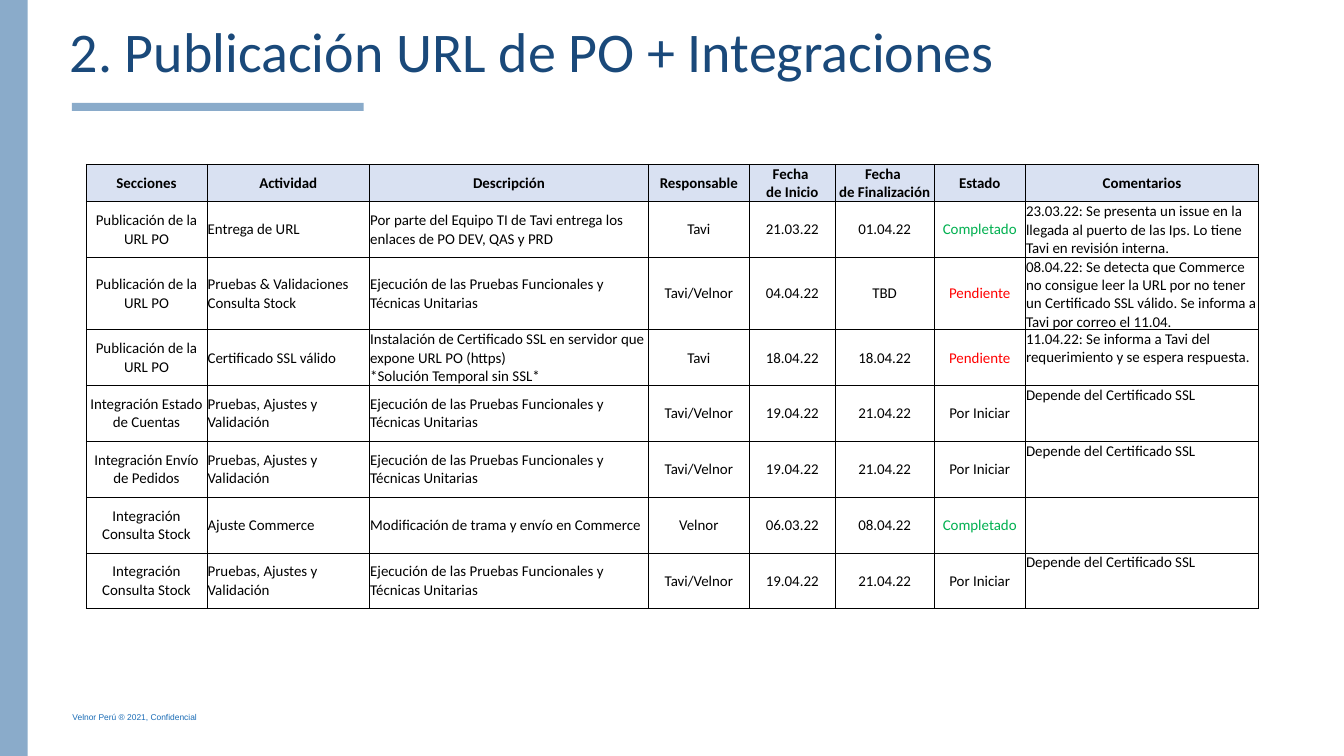
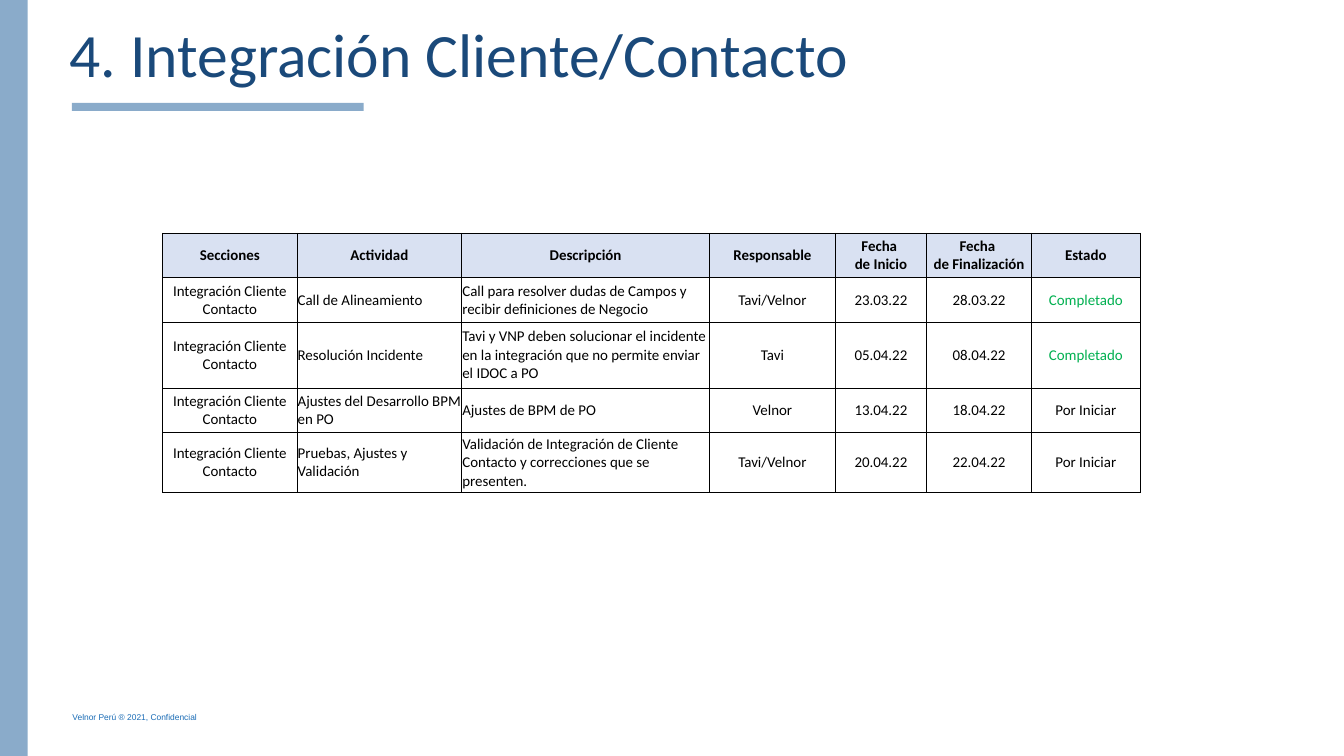
"""Build two project status slides, each with a schedule table."""
from dataclasses import dataclass

from lxml import etree
from pptx import Presentation
from pptx import util as u
from pptx.dml.color import RGBColor
from pptx.enum import shapes, text
from pptx.oxml.ns import qn


@dataclass(frozen=True)
class Theme:
    band: str = "8AABCA"
    title: str = "1A497A"
    footer: str = "1A6CB6"
    header_fill: str = "D9E1F2"
    ink: str = "000000"
    done: str = "00B050"
    pending: str = "FF0000"
    font: str = "Calibri"
    footer_font: str = "Arial"
    cell_size: int = 16
    footer_size: int = 9
    border_width: float = 0.5


theme = Theme()
status_colors = {"Completado": theme.done, "Pendiente": theme.pending}
bands = [(1.07, 1.53, 4.34, 0.12), (-0.1, -0.06, 0.51, 11.4)]
headers = ["Secciones", "Actividad", "Descripción", "Responsable",
           "Fecha \vde Inicio", "Fecha \vde Finalización", "Estado", "Comentarios"]
left_aligned = {"Actividad", "Descripción", "Comentarios"}

url_section = "Publicación de la URL PO"
stock_section = "Integración Consulta Stock"
contact_section = "Integración Cliente Contacto"
tests = "Pruebas, Ajustes y Validación"
unit_tests = "Ejecución de las Pruebas Funcionales y Técnicas Unitarias"
needs_certificate = "Depende del Certificado SSL"
both = "Tavi/Velnor"

publication_rows = [
    [url_section, "Entrega de URL",
     "Por parte del Equipo TI de Tavi entrega los enlaces de PO DEV, QAS y PRD",
     "Tavi", "21.03.22", "01.04.22", "Completado",
     "23.03.22: Se presenta un issue en la llegada al puerto de las Ips. "
     "Lo tiene Tavi en revisión interna."],
    [url_section, "Pruebas & Validaciones Consulta Stock", unit_tests,
     both, "04.04.22", "TBD", "Pendiente",
     "08.04.22: Se detecta que Commerce no consigue leer la URL por no tener "
     "un Certificado SSL válido. Se informa a Tavi por correo el 11.04."],
    [url_section, "Certificado SSL válido",
     "Instalación de Certificado SSL en servidor que expone URL PO (https)\n"
     "*Solución Temporal sin SSL*",
     "Tavi", "18.04.22", "18.04.22", "Pendiente",
     "11.04.22: Se informa a Tavi del requerimiento y se espera respuesta."],
    ["Integración Estado de Cuentas", tests, unit_tests,
     both, "19.04.22", "21.04.22", "Por Iniciar", needs_certificate],
    ["Integración Envío de Pedidos", tests, unit_tests,
     both, "19.04.22", "21.04.22", "Por Iniciar", needs_certificate],
    [stock_section, "Ajuste Commerce", "Modificación de trama y envío en Commerce",
     "Velnor", "06.03.22", "08.04.22", "Completado", ""],
    [stock_section, tests, unit_tests,
     both, "19.04.22", "21.04.22", "Por Iniciar", needs_certificate],
]
contact_rows = [
    [contact_section, "Call de Alineamiento",
     "Call para resolver dudas de Campos y recibir definiciones de Negocio",
     both, "23.03.22", "28.03.22", "Completado"],
    [contact_section, "Resolución Incidente",
     "Tavi y VNP deben solucionar el incidente en la integración que no permite "
     "enviar el IDOC a PO",
     "Tavi", "05.04.22", "08.04.22", "Completado"],
    [contact_section, "Ajustes del Desarrollo BPM en PO", "Ajustes de BPM de PO",
     "Velnor", "13.04.22", "18.04.22", "Por Iniciar"],
    [contact_section, tests,
     "Validación de Integración de Cliente Contacto y correcciones que se presenten.",
     both, "20.04.22", "22.04.22", "Por Iniciar"],
]
slide_specs = [
    {"title": "2. Publicación URL de PO + Integraciones", "size": 60, "title_height": 1.11,
     "corner": (1.28, 2.44), "rows": publication_rows,
     "widths": [1.8, 2.42, 4.15, 1.5, 1.28, 1.47, 1.36, 3.47],
     "heights": [0.56] + [0.83] * 7},
    {"title": "4. Integración Cliente/Contacto", "size": 66, "title_height": 1.21,
     "corner": (2.42, 3.47), "rows": contact_rows,
     "widths": [2, 2.45, 3.69, 1.87, 1.36, 1.56, 1.62],
     "heights": [0.66, 0.66, 0.98, 0.66, 0.9]},
]


def write_text(text_frame, content, size, color, font=theme.font, bold=False, align=None):
    text_frame.text = content
    for paragraph in text_frame.paragraphs:
        paragraph.alignment = align
        for run in paragraph.runs:
            run.font.name = font
            run.font.size = u.Pt(size)
            run.font.bold = bold
            run.font.color.rgb = RGBColor.from_string(color)


def add_borders(cell):
    properties = cell._tc.get_or_add_tcPr()
    for side in ("lnL", "lnR", "lnT", "lnB"):
        line = etree.SubElement(properties, qn(f"a:{side}"), w=str(u.Pt(theme.border_width)))
        fill = etree.SubElement(line, qn("a:solidFill"))
        etree.SubElement(fill, qn("a:srgbClr"), val=theme.ink)


presentation = Presentation()
presentation.slide_width = u.Inches(20)
presentation.slide_height = u.Inches(11.25)

for spec_values in slide_specs:
    slide = presentation.slides.add_slide(presentation.slide_layouts[6])

    for box in bands:
        band = slide.shapes.add_shape(shapes.MSO_SHAPE.RECTANGLE, *map(u.Inches, box))
        band.shadow.inherit = False
        band.fill.solid()
        band.fill.fore_color.rgb = RGBColor.from_string(theme.band)
        band.line.fill.background()

    footer = slide.shapes.add_textbox(*map(u.Inches, (0.98, 10.55, 2.11, 0.25)))
    footer.text_frame.word_wrap = False
    write_text(footer.text_frame, "Velnor Perú ® 2021, Confidencial",
               theme.footer_size, theme.footer, theme.footer_font)

    title_box = (0.94, 0.19, 14.99, spec_values["title_height"])
    title = slide.shapes.add_textbox(*map(u.Inches, title_box))
    title.text_frame.word_wrap = True
    write_text(title.text_frame, spec_values["title"], spec_values["size"], theme.title)

    widths, heights = spec_values["widths"], spec_values["heights"]
    table_box = (*spec_values["corner"], sum(widths), sum(heights))
    table = slide.shapes.add_table(len(heights), len(widths), *map(u.Inches, table_box)).table
    table.first_row = False
    table.horz_banding = False
    for column, width in zip(table.columns, widths):
        column.width = u.Inches(width)
    for row, height in zip(table.rows, heights):
        row.height = u.Inches(height)

    used_headers = headers[:len(widths)]
    for row_index, values in enumerate([used_headers] + spec_values["rows"]):
        is_header = row_index == 0
        for column_index, (header, value) in enumerate(zip(used_headers, values)):
            cell = table.cell(row_index, column_index)
            cell.margin_left = cell.margin_right = cell.margin_top = u.Inches(0.01)
            cell.margin_bottom = 0
            cell.vertical_anchor = text.MSO_ANCHOR.MIDDLE
            if header == "Comentarios" and not is_header:
                cell.vertical_anchor = (text.MSO_ANCHOR.BOTTOM if row_index == 1
                                        else text.MSO_ANCHOR.TOP)
            add_borders(cell)
            if is_header:
                cell.fill.solid()
                cell.fill.fore_color.rgb = RGBColor.from_string(theme.header_fill)
            else:
                cell.fill.background()
            centered = is_header or header not in left_aligned
            write_text(cell.text_frame, value, theme.cell_size,
                       status_colors.get(value, theme.ink), bold=is_header,
                       align=text.PP_ALIGN.CENTER if centered else text.PP_ALIGN.LEFT)

presentation.save("out.pptx")
